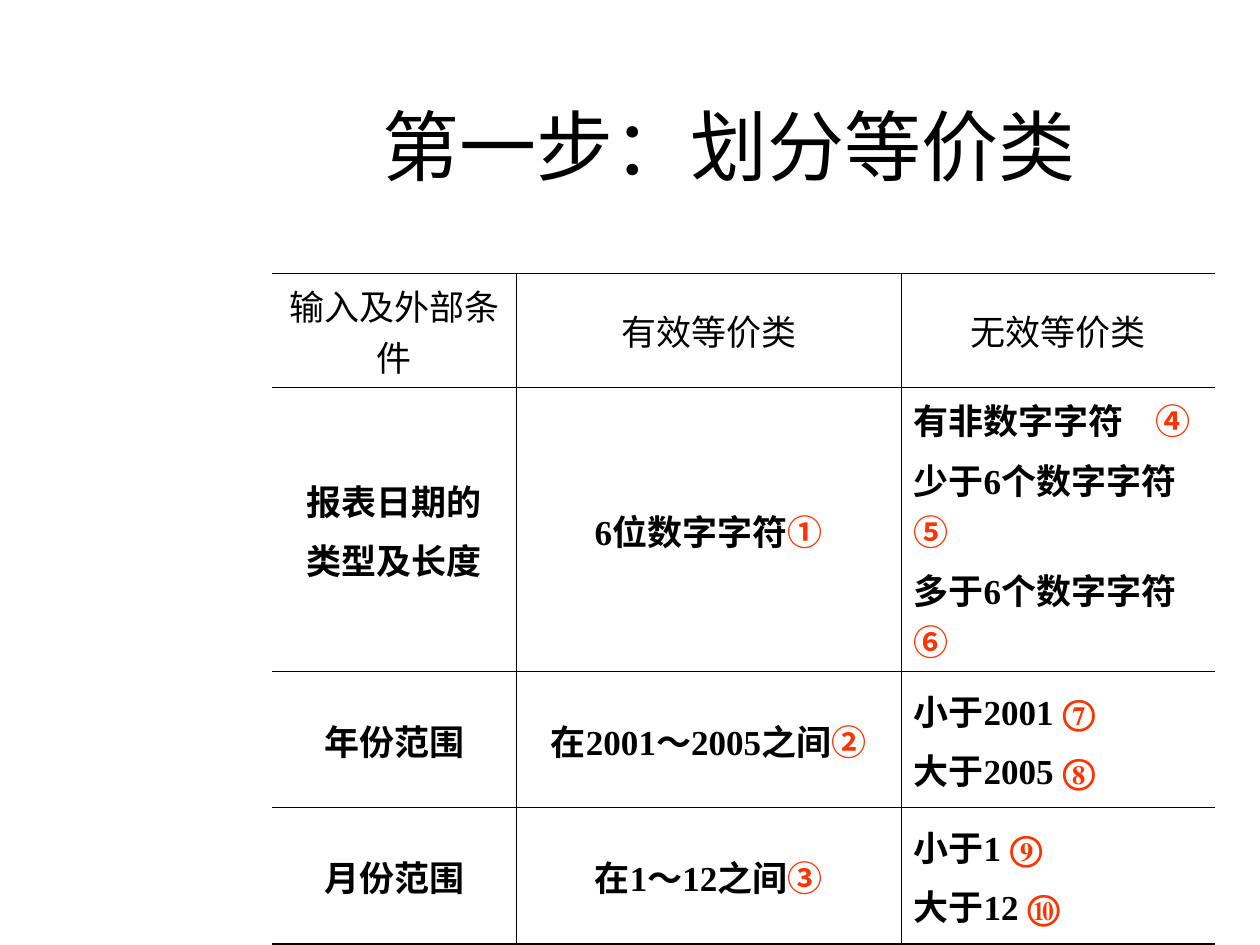
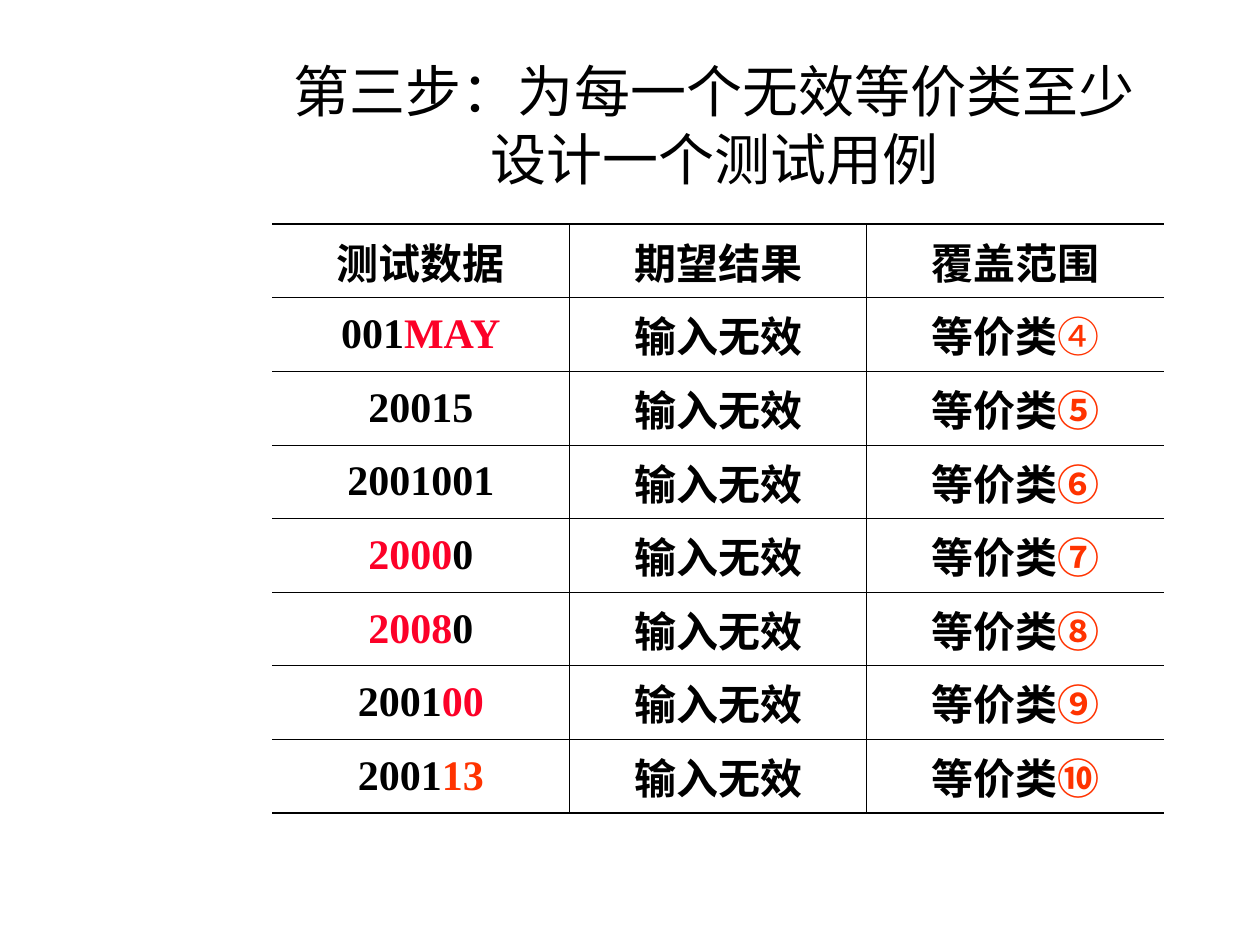
from dataclasses import dataclass

from lxml import etree
from pptx import Presentation, util as u
from pptx.dml.color import RGBColor
from pptx.enum import text
from pptx.oxml.ns import qn

BLACK, ORANGE, RED = "000000", "FF3300", "FC0128"
GRID_COLUMNS = 100  # a grid cell is a square, so rows have the same unit
THIN, THICK = 0.45, 1.08


def rgb(code):
    return RGBColor.from_string(code)


@dataclass
class Span:
    words: str
    color: str = BLACK
    bold: bool = True


def number(sign, **style):
    """A circled number of an equivalence class."""
    return Span(sign, ORANGE, **style)


class Page:
    title_font = "Calibri"
    table_font = "Times New Roman"

    def __init__(self, deck):
        self.unit = deck.slide_width / GRID_COLUMNS
        self.slide = deck.slides.add_slide(deck.slide_layouts[5])

    def grid(self, cells):
        return u.Emu(round(cells * self.unit))

    def title(self, words, size, left, top, width, height):
        box = self.slide.shapes.title
        box.left, box.top = self.grid(left), self.grid(top)
        box.width, box.height = self.grid(width), self.grid(height)
        frame = box.text_frame
        frame.text = words
        frame.word_wrap = True
        frame.auto_size = text.MSO_AUTO_SIZE.NONE
        frame.vertical_anchor = text.MSO_ANCHOR.MIDDLE
        para = frame.paragraphs[0]
        para.alignment = text.PP_ALIGN.CENTER
        self.style(para.runs[0], self.title_font, size, Span(words, bold=False))

    def style(self, run, name, size, span):
        run.font.name = name
        run.font.size = u.Pt(size)
        run.font.bold = span.bold
        run.font.color.rgb = rgb(span.color)

    def table(self, rows, left, top, widths, heights, size, gap, left_aligned=()):
        """Each cell is a list of paragraphs, each paragraph a list of spans."""
        frame = self.slide.shapes.add_table(
            len(rows), len(widths), self.grid(left), self.grid(top),
            self.grid(sum(widths)), self.grid(sum(heights)))
        table = frame.table
        table.first_row = table.horz_banding = False
        for column, width in zip(table.columns, widths):
            column.width = self.grid(width)
        for row, height in zip(table.rows, heights):
            row.height = self.grid(height)
        last_row, last_column = len(rows) - 1, len(widths) - 1
        for r, row in enumerate(rows):
            for c, paragraphs in enumerate(row):
                cell = table.cell(r, c)
                centred = r == 0 or c not in left_aligned
                self.fill_cell(cell, paragraphs, size, gap, centred)
                self.border(cell, "L", THIN if c else 0)
                self.border(cell, "R", THIN if c < last_column else 0)
                self.border(cell, "T", THIN if r else THICK)
                self.border(cell, "B", THIN if r < last_row else THICK)
                cell.fill.background()

    def fill_cell(self, cell, paragraphs, size, gap, centred):
        cell.vertical_anchor = text.MSO_ANCHOR.MIDDLE
        frame = cell.text_frame
        for i, spans in enumerate(paragraphs):
            para = frame.add_paragraph() if i else frame.paragraphs[0]
            para.alignment = text.PP_ALIGN.CENTER if centred else text.PP_ALIGN.LEFT
            if i:
                para.space_before = u.Pt(gap)
            if any("\t" in span.words for span in spans):
                self.tab_stop(para, 19.2)
            for span in spans:
                run = para.add_run()
                run.text = span.words
                self.style(run, self.table_font, size, span)

    def tab_stop(self, para, position):
        stops = etree.SubElement(para._p.get_or_add_pPr(), qn("a:tabLst"))
        etree.SubElement(stops, qn("a:tab"), pos=str(self.grid(position)), algn="l")

    def border(self, cell, side, points):
        """Draw one side of a cell; zero points means no line."""
        line = etree.SubElement(cell._tc.get_or_add_tcPr(), qn("a:ln" + side),
                                w=str(u.Pt(points)))
        if points:
            fill = etree.SubElement(line, qn("a:solidFill"))
            etree.SubElement(fill, qn("a:srgbClr"), val=BLACK)
        else:
            etree.SubElement(line, qn("a:noFill"))


def plain(*lines, bold=True):
    return [[Span(line, bold=bold)] for line in lines]


def numbered(*pairs):
    return [[Span(words), number(sign)] for words, sign in pairs]


def classes_page(deck):
    page = Page(deck)
    page.title("第一步：划分等价类", 44, 20.1, 5.2, 75.6, 12.5)
    headings = ["输入及外部条件", "有效等价类", "无效等价类"]
    rows = [
        [plain(heading, bold=False) for heading in headings],
        [plain("报表日期的", "类型及长度"),
         numbered(("6位数字字符", "①")),
         numbered(("有非数字字符\t", "④"), ("少于6个数字字符", " ⑤"),
                  ("多于6个数字字符 ", "⑥"))],
        [plain("年份范围"),
         numbered(("在2001～2005之间", "②")),
         numbered(("小于2001 ", "⑦"), ("大于2005 ", "⑧"))],
        [plain("月份范围"),
         numbered(("在1～12之间", "③")),
         numbered(("小于1 ", "⑨"), ("大于12 ", "⑩"))],
    ]
    page.table(rows, 21.6, 21.7, [19.4, 30.5, 24.9], [7.7, 19.1, 10.8, 10.8],
               size=20, gap=5, left_aligned=[2])


def cases_page(deck):
    page = Page(deck)
    page.title("第三步：为每一个无效等价类至少设计一个测试用例", 32,
               20.9, 3.6, 71.6, 12.5)
    cases = [
        ([Span("001"), Span("MAY", RED)], number("④", bold=False)),
        ([Span("20015")], number("⑤")),
        ([Span("2001001")], number("⑥")),
        ([Span("2000", RED), Span("0")], number("⑦")),
        ([Span("2008", RED), Span("0")], number("⑧")),
        ([Span("2001"), Span("00", RED)], number("⑨")),
        ([Span("2001"), Span("13", ORANGE)], number("⑩")),
    ]
    rows = [[plain(heading) for heading in ("测试数据", "期望结果", "覆盖范围")]]
    rows += [[[data], plain("输入无效"), [[Span("等价类"), covered]]]
             for data, covered in cases]
    page.table(rows, 21.6, 17.8, [23.6] * 3, [5.55] * len(rows), size=24, gap=6)


def main():
    deck = Presentation()
    deck.slide_width, deck.slide_height = u.Inches(10), u.Inches(7.5)
    classes_page(deck)
    cases_page(deck)
    deck.save("out.pptx")


if __name__ == "__main__":
    main()
